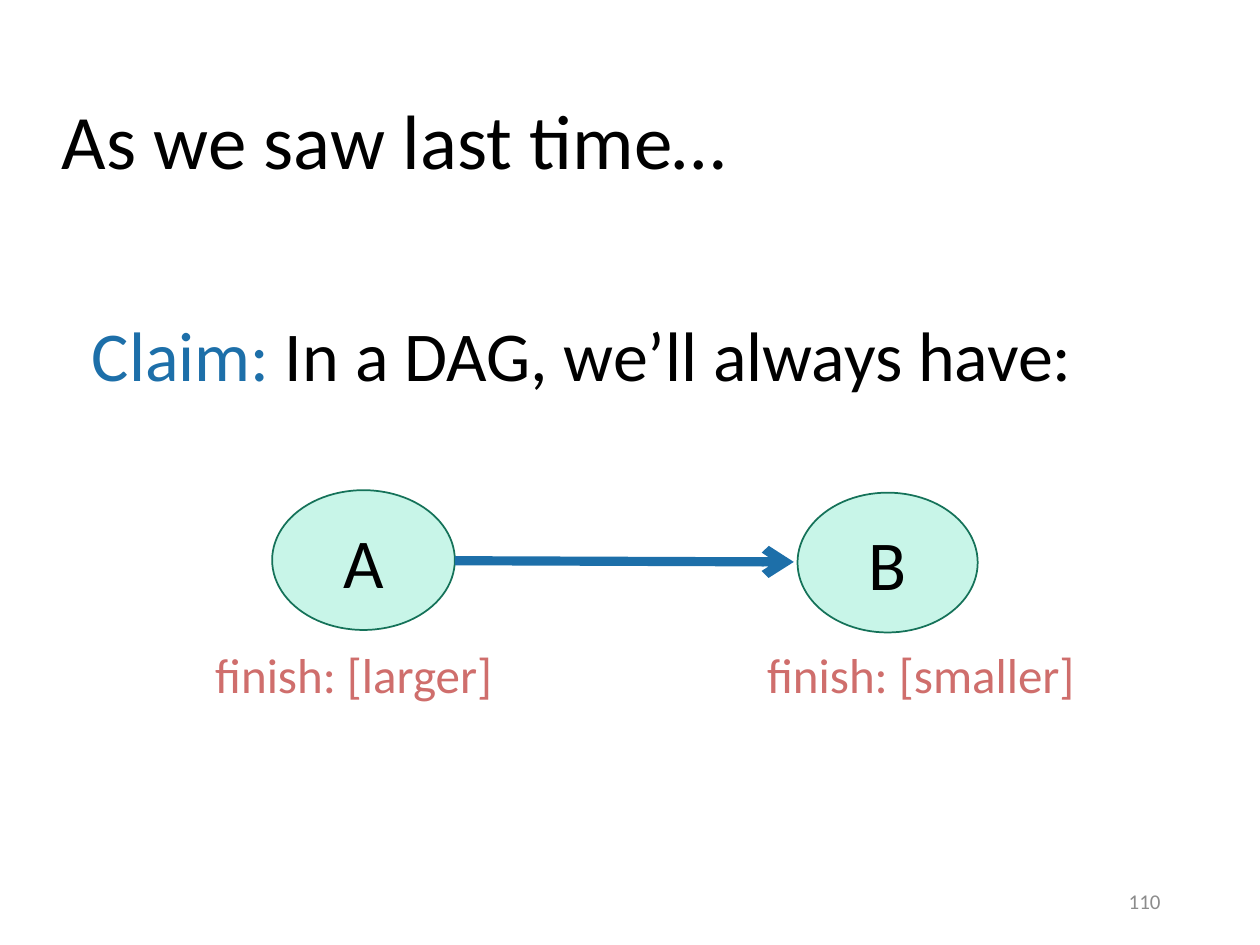
from lxml.etree import SubElement
from pptx import Presentation
from pptx.dml.color import RGBColor
from pptx.enum.shapes import MSO_CONNECTOR, MSO_SHAPE
from pptx.enum.text import MSO_ANCHOR, PP_ALIGN
from pptx.oxml.ns import qn
from pptx.util import Pt

PX = 9144


def color(code):
    return RGBColor.from_string(code)


def write(shape, parts, size, align=PP_ALIGN.LEFT, anchor=MSO_ANCHOR.MIDDLE):
    frame = shape.text_frame
    frame.word_wrap = True
    frame.vertical_anchor = anchor
    line = frame.paragraphs[0]
    line.alignment = align
    line.font.size = Pt(size)
    line.font.name = "Calibri"
    for text, code in parts:
        run = line.add_run()
        run.text = text
        run.font.color.rgb = color(code)
    return line


deck = Presentation()
deck.slide_width, deck.slide_height = 1000 * PX, 750 * PX
slide = deck.slides.add_slide(deck.slide_layouts[5])
shapes = slide.shapes

title = shapes.title
title.left, title.top, title.width, title.height = 39 * PX, 42 * PX, 862 * PX, 145 * PX
write(title, [("As we saw last time…", "000000")], 44).line_spacing = 0.9

for name, left, top, width in [("A", 216, 389, 145), ("B", 633, 391, 143)]:
    node = shapes.add_shape(MSO_SHAPE.OVAL, left * PX, top * PX, width * PX, 111 * PX)
    node.shadow.inherit = False
    node.fill.solid()
    node.fill.fore_color.rgb = color("C8F5E8")
    node.line.color.rgb = color("157259")
    node.line.width = Pt(1)
    write(node, [(name, "000000")], 40, PP_ALIGN.CENTER)

edge = shapes.add_connector(MSO_CONNECTOR.STRAIGHT, 361 * PX, 445 * PX, 630 * PX, 446 * PX)
edge.line.color.rgb = color("1D6FA9")
edge.line.width = Pt(5.25)
SubElement(edge.line._get_or_add_ln(), qn("a:tailEnd"), type="arrow")
SubElement(edge._element.spPr, qn("a:effectLst"))

claim = [("Claim:", "1D6FA9"), (" In a DAG, we’ll always have:", "000000")]
larger = [("finish: [larger]", "CF6E6C")]
smaller = [("finish: [smaller]", "CF6E6C")]
page = [("110", "8C8C8C")]
for left, top, width, height, parts, size, align, anchor in [
    (63, 242, 1002, 212, claim, 40, PP_ALIGN.LEFT, MSO_ANCHOR.TOP),
    (599, 507, 296, 57, smaller, 28, PP_ALIGN.LEFT, MSO_ANCHOR.TOP),
    (161, 507, 287, 57, larger, 28, PP_ALIGN.LEFT, MSO_ANCHOR.TOP),
    (706, 695, 225, 40, page, 12, PP_ALIGN.RIGHT, MSO_ANCHOR.MIDDLE),
]:
    box = shapes.add_textbox(left * PX, top * PX, width * PX, height * PX)
    write(box, parts, size, align, anchor)

deck.save("out.pptx")
